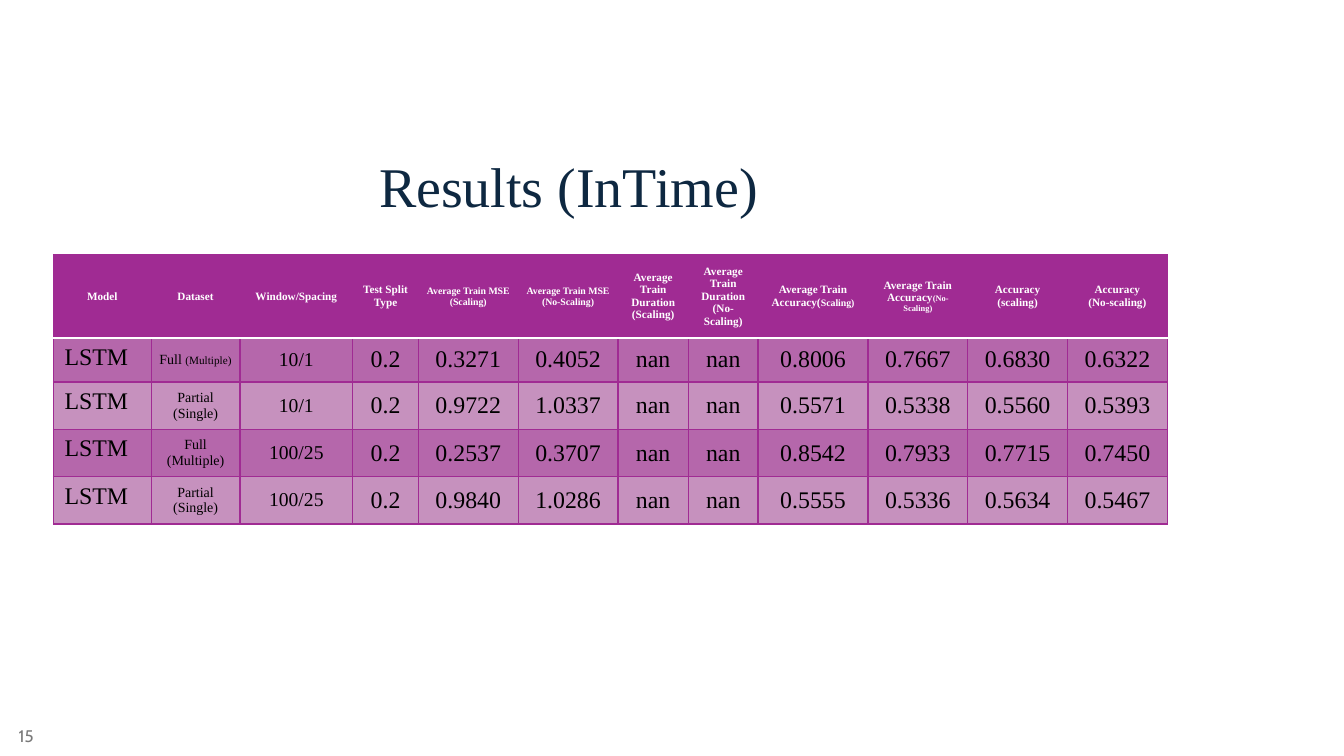
import pptx
import pptx.util
import pptx.dml.color
import pptx.enum.text
import pptx.oxml
import pptx.oxml.ns

Inches = pptx.util.Inches
RGBColor = pptx.dml.color.RGBColor
ALIGN = pptx.enum.text.PP_ALIGN
ANCHOR = pptx.enum.text.MSO_ANCHOR

NAVY = RGBColor(0x0E, 0x28, 0x41)
PURPLE = RGBColor(0xA0, 0x2B, 0x93)
DARK_BAND = RGBColor(0xB5, 0x67, 0xAB)
LIGHT_BAND = RGBColor(0xC6, 0x91, 0xBE)
WHITE = RGBColor(0xFF, 0xFF, 0xFF)
BLACK = RGBColor(0x00, 0x00, 0x00)
GRAY = RGBColor(0x79, 0x79, 0x79)
SERIF = "Times New Roman"

COLUMN_WIDTHS = [0.97, 0.88, 1.12, 0.65, 0.99, 0.99, 0.7, 0.69, 1.09, 0.99, 0.99, 0.99]
ROW_HEIGHTS = [0.82, 0.44, 0.47, 0.47, 0.47]
HEADERS = [
    [[("Model", 8)]],
    [[("Dataset", 8)]],
    [[("Window/Spacing", 8)]],
    [[("Test Split Type", 8)]],
    [[("Average Train MSE", 7)], [("(Scaling)", 7)]],
    [[("Average Train MSE", 7)], [("(No-Scaling)", 7)]],
    [[("Average Train Duration (Scaling)", 8)]],
    [[("Average Train Duration (No-Scaling)", 8)]],
    [[("Average Train Accuracy(", 8), ("Scaling)", 7)]],
    [[("Average Train Accuracy", 8), ("(No-Scaling)", 6)]],
    [[("Accuracy", 8)], [("(scaling)", 8)]],
    [[("Accuracy", 8)], [("(No-scaling)", 8)]],
]
RESULTS = [
    ([("Full ", 10), ("(Multiple)", 8)], "10/1",
     ["0.3271", "0.4052", "nan", "nan", "0.8006", "0.7667", "0.6830", "0.6322"]),
    ([("Partial (Single)", 10)], "10/1",
     ["0.9722", "1.0337", "nan", "nan", "0.5571", "0.5338", "0.5560", "0.5393"]),
    ([("Full (Multiple)", 10)], "100/25",
     ["0.2537", "0.3707", "nan", "nan", "0.8542", "0.7933", "0.7715", "0.7450"]),
    ([("Partial (Single)", 10)], "100/25",
     ["0.9840", "1.0286", "nan", "nan", "0.5555", "0.5336", "0.5634", "0.5467"]),
]


def write(frame, paragraphs, color, font=SERIF, align=ALIGN.CENTER, bold=False):
    for index, spans in enumerate(paragraphs):
        para = frame.paragraphs[0] if index == 0 else frame.add_paragraph()
        para.alignment = align
        for text, size in spans:
            span = para.add_run()
            span.text = text
            span.font.name = font
            span.font.size = pptx.util.Pt(size)
            span.font.bold = bold
            span.font.color.rgb = color


def add_text(page, bounds, text, size, color, font, align, indent=0.1):
    box = page.shapes.add_textbox(*map(Inches, bounds))
    frame = box.text_frame
    frame.word_wrap = True
    frame.vertical_anchor = ANCHOR.MIDDLE
    frame.margin_left = Inches(indent)
    write(frame, [[(text, size)]], color, font, align)
    return frame


def set_borders(cell, edges):
    for index, (edge, (color, width)) in enumerate(edges.items()):
        line = pptx.oxml.parse_xml(
            f'<a:ln{edge} {pptx.oxml.ns.nsdecls("a")} w="{pptx.util.Pt(width)}">'
            f'<a:solidFill><a:srgbClr val="{color}"/></a:solidFill></a:ln{edge}>')
        cell._tc.get_or_add_tcPr().insert(index, line)


def fill_cell(cell, paragraphs, fill, color, inset, align=ALIGN.CENTER,
              anchor=ANCHOR.MIDDLE, bold=False):
    cell.fill.solid()
    cell.fill.fore_color.rgb = fill
    cell.vertical_anchor = anchor
    cell.margin_left = cell.margin_right = Inches(inset[0])
    cell.margin_top = cell.margin_bottom = Inches(inset[1])
    write(cell.text_frame, paragraphs, color, align=align, bold=bold)


def add_results_table(page):
    frame = page.shapes.add_table(
        len(ROW_HEIGHTS), len(COLUMN_WIDTHS), Inches(0.53), Inches(2.53),
        Inches(sum(COLUMN_WIDTHS)), Inches(sum(ROW_HEIGHTS)))
    table = frame.table
    table.horz_banding = False
    for column, width in zip(table.columns, COLUMN_WIDTHS):
        column.width = Inches(width)
    for row, height in zip(table.rows, ROW_HEIGHTS):
        row.height = Inches(height)

    narrow, wide = (0.08, 0.04), (0.11, 0.06)
    for column, paragraphs in enumerate(HEADERS):
        fill_cell(table.cell(0, column), paragraphs, PURPLE, WHITE, narrow, bold=True)
    for row, (dataset, window, scores) in enumerate(RESULTS, 1):
        fill = DARK_BAND if row % 2 else LIGHT_BAND
        fill_cell(table.cell(row, 0), [[("LSTM", 17)]], fill, BLACK, wide,
                  ALIGN.LEFT, ANCHOR.TOP)
        fill_cell(table.cell(row, 1), [dataset], fill, BLACK, narrow)
        fill_cell(table.cell(row, 2), [[(window, 14)]], fill, BLACK, wide)
        for column, score in enumerate(["0.2"] + scores, 3):
            fill_cell(table.cell(row, column), [[(score, 17)]], fill, BLACK, wide)

    grid, divider = (PURPLE, 1), (WHITE, 1.5)
    for row in range(len(ROW_HEIGHTS)):
        for column in range(len(COLUMN_WIDTHS)):
            set_borders(table.cell(row, column), {
                "L": grid, "R": grid,
                "T": divider if row == 1 else grid,
                "B": divider if row == 0 else grid})


def main():
    deck = pptx.Presentation()
    deck.slide_width, deck.slide_height = Inches(13.33), Inches(7.5)
    page = deck.slides.add_slide(deck.slide_layouts[6])
    title = add_text(page, (0.66, 1.23, 11.57, 1.3), "Results (InTime)", 40,
                     NAVY, SERIF, ALIGN.LEFT, indent=3.1)
    title.paragraphs[0].line_spacing = 0.9
    add_results_table(page)
    add_text(page, (-1.99, 7.1, 4.5, 0.4), "15", 12, GRAY, "Cabin", ALIGN.CENTER)
    deck.save("out.pptx")


if __name__ == "__main__":
    main()
